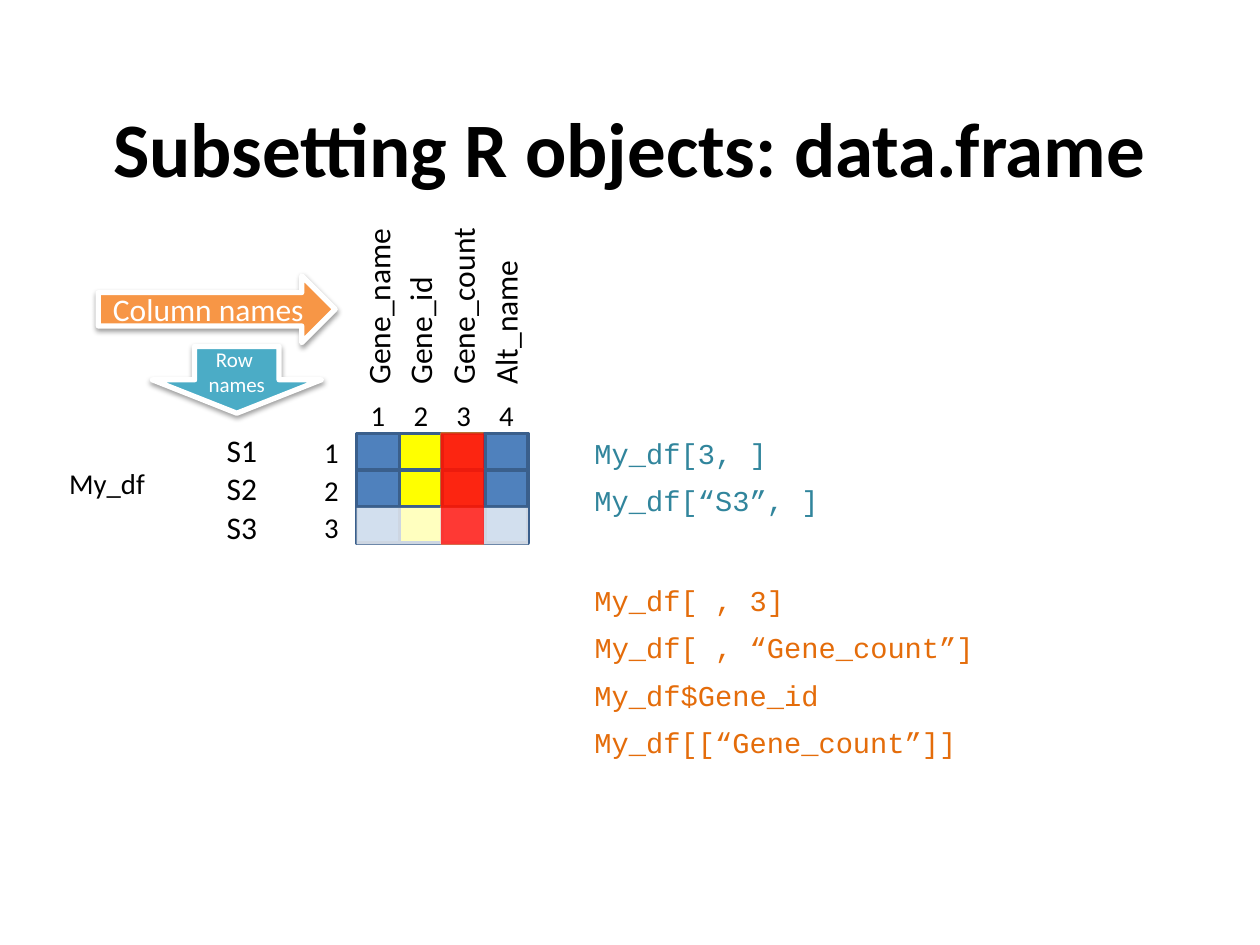
from dataclasses import dataclass

from lxml.etree import SubElement
from pptx import Presentation
from pptx.dml.color import RGBColor
from pptx.enum.shapes import MSO_SHAPE
from pptx.enum.text import MSO_ANCHOR, MSO_AUTO_SIZE, PP_ALIGN
from pptx.oxml.ns import qn
from pptx.util import Emu, Pt

SCALE = 9144


@dataclass(frozen=True)
class Theme:
    """Colours, fonts and type sizes."""
    black: str = "000000"
    white: str = "FFFFFF"
    blue: str = "4F81BD"
    navy: str = "3A5F8C"
    yellow: str = "FFFF00"
    orange: str = "F79646"
    brown: str = "B76F34"
    red: str = "FF0000"
    aqua: str = "4BACC6"
    teal: str = "31859C"
    rust: str = "E46C0A"
    sans: str = "Calibri"
    mono: str = "Courier New"
    head: float = 44
    label: float = 18
    body: float = 16.4
    small: float = 12


THEME = Theme()


def px(n):
    """Turn px into EMU."""
    return Emu(n * SCALE)


def rgb(hue):
    """Turn a hex string into a colour."""
    return RGBColor.from_string(hue)


def write(frame, lines, size, hue, font=THEME.sans, align=PP_ALIGN.LEFT, bold=False):
    """Fill a text frame with one run per line."""
    frame.word_wrap = True
    for i, line in enumerate(lines):
        para = frame.add_paragraph() if i else frame.paragraphs[0]
        para.alignment = align
        run = para.add_run()
        run.text = line
        run.font.size = Pt(size)
        run.font.name = font
        run.font.bold = bold
        run.font.color.rgb = rgb(hue)


def label(slide, box, text, size=THEME.body, hue=THEME.black, turn=0, **style):
    """Place one line of text in a box."""
    item = slide.shapes.add_textbox(*map(px, box))
    item.rotation = turn
    write(item.text_frame, [text], size, hue, **style)
    item.text_frame.auto_size = MSO_AUTO_SIZE.SHAPE_TO_FIT_TEXT


def block(slide, kind, box, fill, line=None, width=2):
    """Place a flat filled shape."""
    item = slide.shapes.add_shape(kind, *map(px, box))
    item.shadow.inherit = False
    item.fill.solid()
    item.fill.fore_color.rgb = rgb(fill)
    if line:
        item.line.color.rgb = rgb(line)
        item.line.width = Pt(width)
    else:
        item.line.fill.background()
    return item


def fade(node, part):
    """Give a colour element an opacity in percent."""
    SubElement(node, qn("a:alpha"), val=str(part * 1000))


def veil(slide, box, fill, turn=0):
    """Lay a see-through band over the grid."""
    item = block(slide, MSO_SHAPE.RECTANGLE, box, fill)
    item.rotation = turn
    fade(item.fill._xPr.find(".//" + qn("a:srgbClr")), 75)


def arrow(slide, kind, box, fill, lines, size):
    """Place a captioned arrow with a soft shadow."""
    item = block(slide, kind, box, fill, THEME.white, 3)
    glow = item._element.spPr.find(qn("a:effectLst"))
    cast = SubElement(glow, qn("a:outerShdw"), blurRad=str(Pt(3.1)),
                      dist=str(Pt(1.6)), dir="5400000", rotWithShape="0")
    fade(SubElement(cast, qn("a:srgbClr"), val=THEME.black), 38)
    item.text_frame.vertical_anchor = MSO_ANCHOR.MIDDLE
    write(item.text_frame, lines, size, THEME.white, align=PP_ALIGN.CENTER)


def title(slide, box, text):
    """Set the slide title."""
    item = slide.shapes.title
    item.left, item.top, item.width, item.height = map(px, box)
    frame = item.text_frame
    frame.vertical_anchor = MSO_ANCHOR.TOP
    frame.auto_size = MSO_AUTO_SIZE.NONE
    write(frame, [text], THEME.head, THEME.black, align=PP_ALIGN.CENTER, bold=True)


def grid(slide, box):
    """Draw the data frame cells with their index numbers and bands."""
    x, y, w, h = box
    step, tall = w // 4, h // 3
    plain = (THEME.blue, THEME.navy)
    cols = [plain, (THEME.yellow, THEME.navy), (THEME.orange, THEME.brown), plain]
    for c in range(4):
        label(slide, (x + c * step, y - 33, step, 37), str(c + 1), align=PP_ALIGN.CENTER)
    for r in range(3):
        label(slide, (x - 37, y - 4 + 30 * r, step, 37), str(r + 1), align=PP_ALIGN.CENTER)
        for c, (fill, line) in enumerate(cols):
            cell = (x + c * step, y + r * h // 3, step, tall)
            block(slide, MSO_SHAPE.RECTANGLE, cell, fill, line)
    veil(slide, (x, y + h - tall, w, tall), THEME.white)
    veil(slide, (x + 40, y + 27, h, step), THEME.red, 90)


def names(slide, box):
    """Write the upright column names, all starting at the box's foot."""
    x, y, w, h = box
    heads = [("Gene_name", 150), ("Gene_id", 116), ("Gene_count", 150), ("Alt_name", 176)]
    for i, (text, size) in enumerate(heads):
        mid = x + 20 + i * (w - 40) // 3
        spot = (mid - size // 2, y + h - size // 2 - 20, size, 40)
        label(slide, spot, text, THEME.label, turn=270)


def rows(slide, box):
    """Write the row names."""
    x, y, w, h = box
    for i in range(3):
        label(slide, (x, y + i * (h - 40) // 2, w, 40), f"S{i + 1}", THEME.label)


def code(slide, box, hue, lines):
    """Write code lines at an even pitch."""
    x, y, w, h = box
    for i, (text, wide) in enumerate(lines):
        spot = (x, y + i * 75 // 2, wide, 37)
        label(slide, spot, text, hue=hue, font=THEME.mono)


def main():
    """Build the slide."""
    deck = Presentation()
    deck.slide_width, deck.slide_height = px(1000), px(750)
    slide = deck.slides.add_slide(deck.slide_layouts[5])
    title(slide, (50, 75, 900, 125), "Subsetting R objects: data.frame")
    grid(slide, (283, 344, 136, 88))
    label(slide, (45, 365, 157, 37), "My_df")
    names(slide, (280, 139, 141, 176))
    rows(slide, (170, 337, 51, 101))
    arrow(slide, MSO_SHAPE.RIGHT_ARROW, (78, 219, 188, 53), THEME.orange,
          ["Column names"], THEME.label)
    arrow(slide, MSO_SHAPE.DOWN_ARROW, (121, 275, 134, 53), THEME.aqua,
          ["Row ", "names"], THEME.small)
    code(slide, (462, 341, 200, 74), THEME.teal,
         [("My_df[3, ]", 176), ("My_df[“S3”, ]", 200)])
    code(slide, (462, 458, 339, 149), THEME.rust,
         [("My_df[ , 3]", 176), ("My_df[ , “Gene_count”]", 339),
          ("My_df$Gene_id", 200), ("My_df[[“Gene_count”]]", 317)])
    deck.save("out.pptx")


if __name__ == "__main__":
    main()
